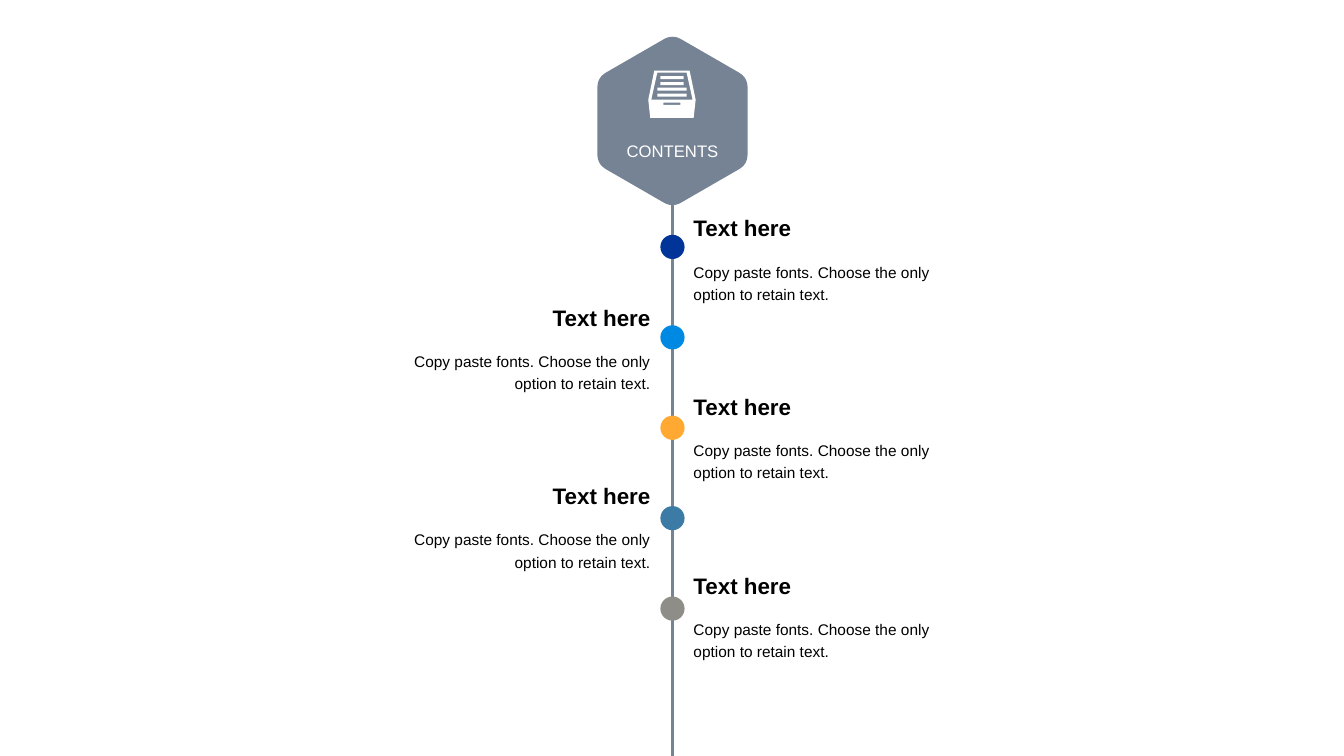
from math import cos, radians, sin

from pptx import Presentation
from pptx.dml.color import RGBColor
from pptx.enum.shapes import MSO_CONNECTOR, MSO_SHAPE
from pptx.enum.text import MSO_ANCHOR, MSO_AUTO_SIZE, PP_ALIGN
from pptx.oxml.ns import qn
from pptx.util import Inches, Pt
from lxml import etree

COLORS = {
    "slate": "768394",
    "white": "FFFFFF",
    "black": "000000",
    "navy": "003499",
    "azure": "0089E2",
    "orange": "FFA933",
    "steel": "3B7BA5",
    "gray": "8E8D88",
}
DESCRIPTION = "Copy paste fonts. Choose the only option to retain text."
ENTRIES = [
    (color, "Text here", DESCRIPTION)
    for color in ("navy", "azure", "orange", "steel", "gray")
]
AXIS = 6.67


def rgb(name):
    return RGBColor.from_string(COLORS[name])


def fill_plain(shape, color):
    shape.shadow.inherit = False
    shape.fill.solid()
    shape.fill.fore_color.rgb = rgb(color)
    shape.line.fill.background()


def add_outline(slide, contours, color):
    """Draw closed contours, given in inches, as one filled freeform."""
    contours = [[(Inches(x), Inches(y)) for x, y in points] for points in contours]
    builder = slide.shapes.build_freeform(*contours[0][0])
    builder.add_line_segments(contours[0][1:], close=True)
    for points in contours[1:]:
        builder.move_to(*points[0])
        builder.add_line_segments(points[1:], close=True)
    shape = builder.convert_to_shape()
    fill_plain(shape, color)
    return shape


def rounded_hexagon(center_x, center_y, radius, cut, steps=8):
    """Return the points of an upright hexagon with its corners curved."""
    corners = [
        (center_x + radius * sin(radians(60 * i)), center_y - radius * cos(radians(60 * i)))
        for i in range(6)
    ]
    share = cut / radius
    points = []
    for i, corner in enumerate(corners):
        before, after = corners[i - 1], corners[(i + 1) % 6]
        for step in range(steps + 1):
            t = step / steps
            back, ahead = share * (1 - t) ** 2, share * t ** 2
            points.append(tuple(
                c + back * (b - c) + ahead * (a - c)
                for b, c, a in zip(before, corner, after)
            ))
    return points


def rectangle(left, top, right, bottom):
    return [(left, top), (right, top), (right, bottom), (left, bottom)]


def place(shape, left, top, width, height):
    shape.left, shape.top = Inches(left), Inches(top)
    shape.width, shape.height = Inches(width), Inches(height)


def write(shape, text, size, color, align, bold=False, spacing=1.0):
    frame = shape.text_frame
    frame.word_wrap = True
    frame.auto_size = MSO_AUTO_SIZE.NONE
    frame.text = text
    paragraph = frame.paragraphs[0]
    paragraph.alignment = align
    paragraph.line_spacing = spacing
    font = paragraph.runs[0].font
    font.name, font.size, font.bold = "Arial", Pt(size), bold
    font.color.rgb = rgb(color)


def add_axis(slide, x, top, bottom):
    axis = slide.shapes.add_connector(
        MSO_CONNECTOR.STRAIGHT, Inches(x), Inches(top), Inches(x), Inches(bottom)
    )
    axis.line.color.rgb = rgb("slate")
    axis.line.width = Pt(1.5)
    etree.SubElement(axis.element.spPr, qn("a:effectLst"))


def add_drawer_icon(slide, left, top):
    def trapezoid(inset, y_top, y_bottom, base):
        return [(left + inset, top + y_top), (left + 0.47 - inset, top + y_top),
                (left + 0.47 - base, top + y_bottom), (left + base, top + y_bottom)]

    front = trapezoid(0.06, 0, 0.29, 0)
    body = front[:3] + [(left + 0.45, top + 0.47), (left + 0.02, top + 0.47)] + front[3:]
    opening = trapezoid(0.09, 0.02, 0.29, 0.03)
    handle = rectangle(left + 0.15, top + 0.32, left + 0.32, top + 0.34)
    sheets = [
        rectangle(left + inset, top + y, left + 0.47 - inset, top + y + 0.03)
        for inset, y in ((0.12, 0.055), (0.12, 0.115), (0.09, 0.17), (0.09, 0.23))
    ]
    add_outline(slide, [body, opening, handle, *sheets], "white")


def add_badge(slide, center_x, center_y):
    hexagon = add_outline(
        slide, [rounded_hexagon(center_x, center_y, 0.86, 0.1)], "slate"
    )
    title = slide.shapes.title
    hexagon.element.addnext(title.element)
    place(title, center_x - 0.64, center_y + 0.16, 1.28, 0.27)
    write(title, "CONTENTS", 11.9, "white", PP_ALIGN.CENTER)
    title.text_frame.vertical_anchor = MSO_ANCHOR.MIDDLE
    add_drawer_icon(slide, center_x - 0.24, center_y - 0.5)


def add_dot(slide, center_x, top, color, size=0.24):
    dot = slide.shapes.add_shape(
        MSO_SHAPE.OVAL, Inches(center_x - size / 2), Inches(top), Inches(size), Inches(size)
    )
    fill_plain(dot, color)


def add_entry(slide, left, top, width, align, heading, description):
    for text, offset, height, style in (
        (heading, 0, 0.44, {"size": 16, "bold": True}),
        (description, 0.44, 0.59, {"size": 11, "spacing": 1.2}),
    ):
        box = slide.shapes.add_textbox(
            Inches(left), Inches(top + offset), Inches(width), Inches(height)
        )
        write(box, text, color="black", align=align, **style)


def add_timeline(slide, x, top, width=2.83):
    """Place the entries on alternating sides of the axis, right side first."""
    for i, (color, heading, description) in enumerate(ENTRIES):
        add_dot(slide, x, top + 0.25 + 0.897 * i, color)
        on_right = i % 2 == 0
        left = x + 0.11 if on_right else x - 0.12 - width
        align = PP_ALIGN.LEFT if on_right else PP_ALIGN.RIGHT
        add_entry(slide, left, top + 0.886 * i, width, align, heading, description)


def main():
    presentation = Presentation()
    presentation.slide_width = Inches(13.33)
    presentation.slide_height = Inches(7.5)
    slide = presentation.slides.add_slide(presentation.slide_layouts[5])
    add_axis(slide, AXIS, 1.34, 7.5)
    add_badge(slide, AXIS, 1.2)
    add_timeline(slide, AXIS, 2.08)
    presentation.save("out.pptx")


if __name__ == "__main__":
    main()
